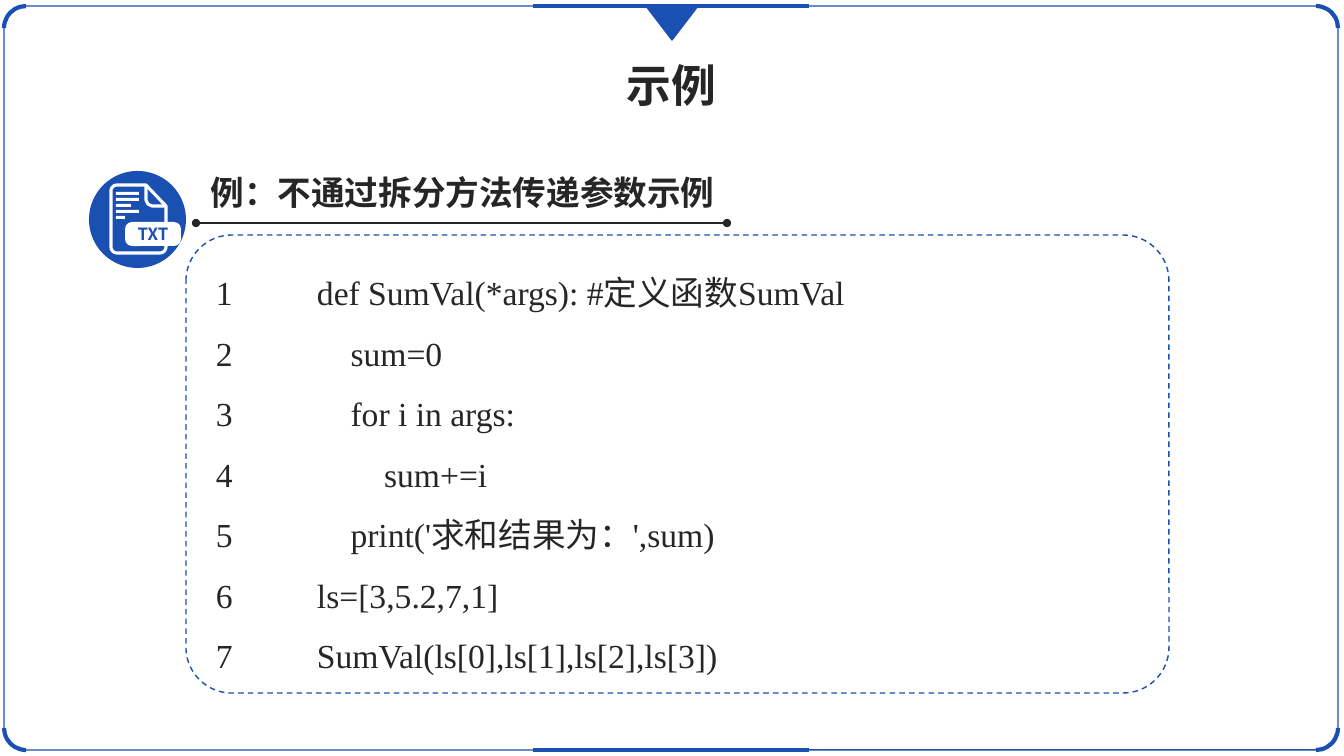
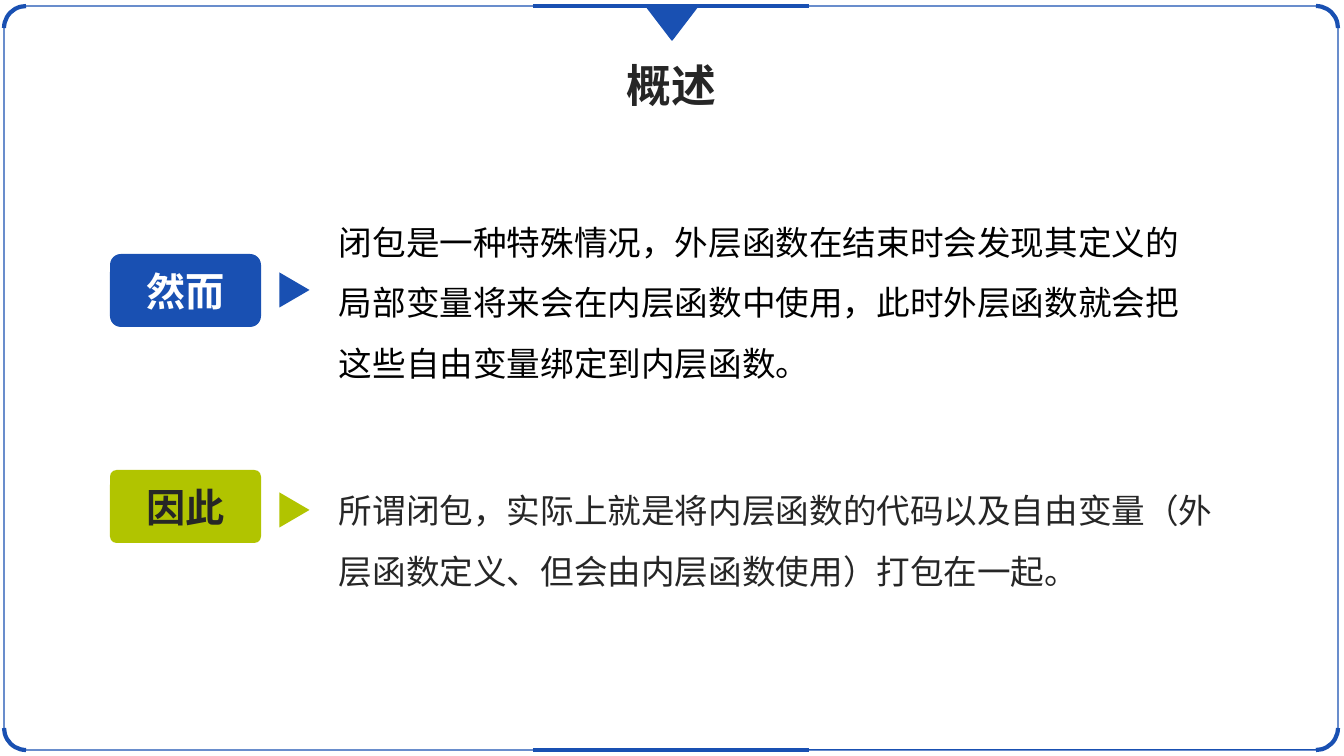
"""Build two slides on Python arguments and closures."""
from math import cos, radians, sin
from lxml.etree import SubElement
from pptx import Presentation
from pptx.dml.color import RGBColor
from pptx.enum.dml import MSO_LINE
from pptx.enum.shapes import MSO_CONNECTOR, MSO_SHAPE
from pptx.enum.text import MSO_ANCHOR, PP_ALIGN
from pptx.oxml.ns import qn
from pptx.util import Pt

WIDE, HIGH = 1344, 756
SCALE = 12192000 / WIDE
FINE = 100
BLUE, LIME, INK, BLACK, WHITE = "1950B2", "B1C400", "262626", "000000", "FFFFFF"
SANS, SERIF, SLIM = "Noto Sans CJK SC", "Times New Roman", "Roboto Condensed"

TITLES = ["示例", "概述"]
HEAD = "例：不通过拆分方法传递参数示例"
CODE = [
    "def SumVal(*args): #定义函数SumVal",
    "    sum=0",
    "    for i in args:",
    "        sum+=i",
    "    print('求和结果为：',sum)",
    "ls=[3,5.2,7,1]",
    "SumVal(ls[0],ls[1],ls[2],ls[3])",
]
POINTS = [
    dict(label="然而", fill=BLUE, ink=WHITE, top=254, curve=0.15, tip=275,
         body="闭包是一种特殊情况，外层函数在结束时会发现其定义的局部变量将来会在内层函数中使用，此时外层函数就会把这些自由变量绑定到内层函数。",
         tone=BLACK, box=(329, 199, 878, 186)),
    dict(label="因此", fill=LIME, ink=INK, top=470, curve=0.09, tip=495,
         body="所谓闭包，实际上就是将内层函数的代码以及自由变量（外层函数定义、但会由内层函数使用）打包在一起。",
         tone=INK, box=(329, 468, 910, 125)),
]
ARCS = [(26, 28, 270), (1316, 28, 0), (1316, 728, 90), (26, 728, 180)]
BARS = [23, 23, 15, 23, 9]


def px(num):
    return round(num * SCALE)


def rgb(code):
    return RGBColor.from_string(code)


def paint(part, fill=None, line=None, width=1):
    part.shadow.inherit = False
    if fill:
        part.fill.solid()
        part.fill.fore_color.rgb = rgb(fill)
    else:
        part.fill.background()
    if line:
        part.line.color.rgb = rgb(line)
        part.line.width = Pt(width)
    else:
        part.line.fill.background()
    return part


def shape(slide, kind, box, curve=None, turn=0, **look):
    part = slide.shapes.add_shape(kind, *map(px, box))
    if curve is not None:
        part.adjustments[0] = curve
    part.rotation = turn
    return paint(part, **look)


def rule(slide, left, right, top, color, width, ends=None):
    part = slide.shapes.add_connector(
        MSO_CONNECTOR.STRAIGHT, px(left), px(top), px(right), px(top))
    part.line.color.rgb = rgb(color)
    part.line.width = Pt(width)
    props = part.element.spPr
    if ends:
        for tag in ("a:headEnd", "a:tailEnd"):
            SubElement(props.find(qn("a:ln")), qn(tag), type=ends)
    SubElement(props, qn("a:effectLst"))


def trace(slide, dots, close, **look):
    dots = [(round(left * FINE), round(top * FINE)) for left, top in dots]
    pen = slide.shapes.build_freeform(*dots[0], scale=SCALE / FINE)
    pen.add_line_segments(dots[1:], close=close)
    return paint(pen.convert_to_shape(), **look)


def write(part, lines, size=24, color=INK, font=SANS, bold=False, align=PP_ALIGN.LEFT,
          anchor=MSO_ANCHOR.TOP, space=1, inset=(10, 5), wrap=True, tab=None):
    frame = part.text_frame
    frame.word_wrap = wrap
    frame.vertical_anchor = anchor
    frame.margin_left = frame.margin_right = px(inset[0])
    frame.margin_top = frame.margin_bottom = px(inset[1])
    for num, line in enumerate(lines):
        para = frame.add_paragraph() if num else frame.paragraphs[0]
        para.alignment = align
        para.line_spacing = space
        if tab:
            stops = SubElement(para._p.get_or_add_pPr(), qn("a:tabLst"))
            SubElement(stops, qn("a:tab"), pos=str(px(tab)), algn="l")
        run = para.add_run()
        run.text = line
        run.font.size = Pt(size)
        run.font.bold = bold
        run.font.name = font
        run.font.color.rgb = rgb(color)
        SubElement(run.font._element, qn("a:ea"), typeface=SANS)


def text(slide, box, lines, **look):
    write(slide.shapes.add_textbox(*map(px, box)), lines, **look)


def frame(slide, layout):
    shape(slide, MSO_SHAPE.ROUNDED_RECTANGLE, (4, 6, 1334, 744), 0.03, line=BLUE)
    for mid, row, turn in ARCS:
        shape(slide, MSO_SHAPE.ARC, (mid - 22, row - 22, 44, 44), turn=turn,
              line=BLUE, width=3)
    for top in (6, 750):
        rule(slide, 533, 809, top, BLUE, 3)
    shape(slide, MSO_SHAPE.ISOSCELES_TRIANGLE, (646, 6, 52, 34), turn=180,
          fill=BLUE, line=BLUE)
    parts = [part for part in slide.shapes if not part.is_placeholder]
    for num, part in enumerate(parts, 100):
        part.element.xpath(".//p:cNvPr")[0].set("id", str(num))
        layout.shapes.element.append(part.element)


def icon(slide):
    shape(slide, MSO_SHAPE.OVAL, (89, 171, 97, 97), fill=BLUE)
    page = [(146, 185), (166, 206)]
    for mid, row, start in ((160, 247, 0), (117, 247, 90), (117, 191, 180)):
        page += [(mid + 6 * cos(radians(deg)), row + 6 * sin(radians(deg)))
                 for deg in range(start, start + 91, 15)]
    trace(slide, page, True, line=WHITE, width=2.25)
    fold = [(146, 185), (146, 200), (148, 204), (152, 206), (166, 206)]
    trace(slide, fold, False, line=WHITE, width=2.25)
    for num, width in enumerate(BARS):
        shape(slide, MSO_SHAPE.RECTANGLE, (116, 192 + 6 * num, width, 3), fill=WHITE)
    tag = shape(slide, MSO_SHAPE.ROUNDED_RECTANGLE, (125, 222, 56, 24), 0.29, fill=WHITE)
    write(tag, ["TXT"], size=12, color=BLUE, bold=True, align=PP_ALIGN.CENTER,
          anchor=MSO_ANCHOR.MIDDLE, inset=(0, 0), wrap=False)


def sample(slide):
    lines = [f"{num}\t{line}" for num, line in enumerate(CODE, 1)]
    text(slide, (210, 249, 773, 426), lines, font=SERIF, space=1.5, inset=(6, 3), tab=101)
    icon(slide)
    panel = shape(slide, MSO_SHAPE.ROUNDED_RECTANGLE, (186, 235, 983, 458), 0.1, line=BLUE)
    panel.line.dash_style = MSO_LINE.DASH
    text(slide, (198, 167, 529, 50), [HEAD], bold=True, align=PP_ALIGN.CENTER, wrap=False)
    rule(slide, 196, 727, 223, INK, 1.5, "oval")


def survey(slide):
    for item in POINTS:
        text(slide, item["box"], [item["body"]], color=item["tone"], space=1.5,
             anchor=MSO_ANCHOR.MIDDLE)
        label = shape(slide, MSO_SHAPE.ROUNDED_RECTANGLE, (110, item["top"], 151, 73),
                      item["curve"], fill=item["fill"])
        write(label, [item["label"]], size=28, color=item["ink"], font=SLIM, bold=True,
              align=PP_ALIGN.CENTER, anchor=MSO_ANCHOR.MIDDLE)
        shape(slide, MSO_SHAPE.ISOSCELES_TRIANGLE, (277, item["tip"], 35, 30), turn=90,
              fill=item["fill"])


def main():
    deck = Presentation()
    deck.slide_width, deck.slide_height = px(WIDE), px(HIGH)
    layout = deck.slide_layouts[5]
    title = layout.placeholders[0]
    title.left, title.top, title.width, title.height = map(px, (616, 53, 111, 65))
    slides = [deck.slides.add_slide(layout) for _ in TITLES]
    frame(slides[0], layout)
    for slide, name, fill in zip(slides, TITLES, (sample, survey)):
        write(slide.shapes.title, [name], size=32, bold=True, align=PP_ALIGN.CENTER, wrap=False)
        fill(slide)
    deck.save("out.pptx")


if __name__ == "__main__":
    main()
